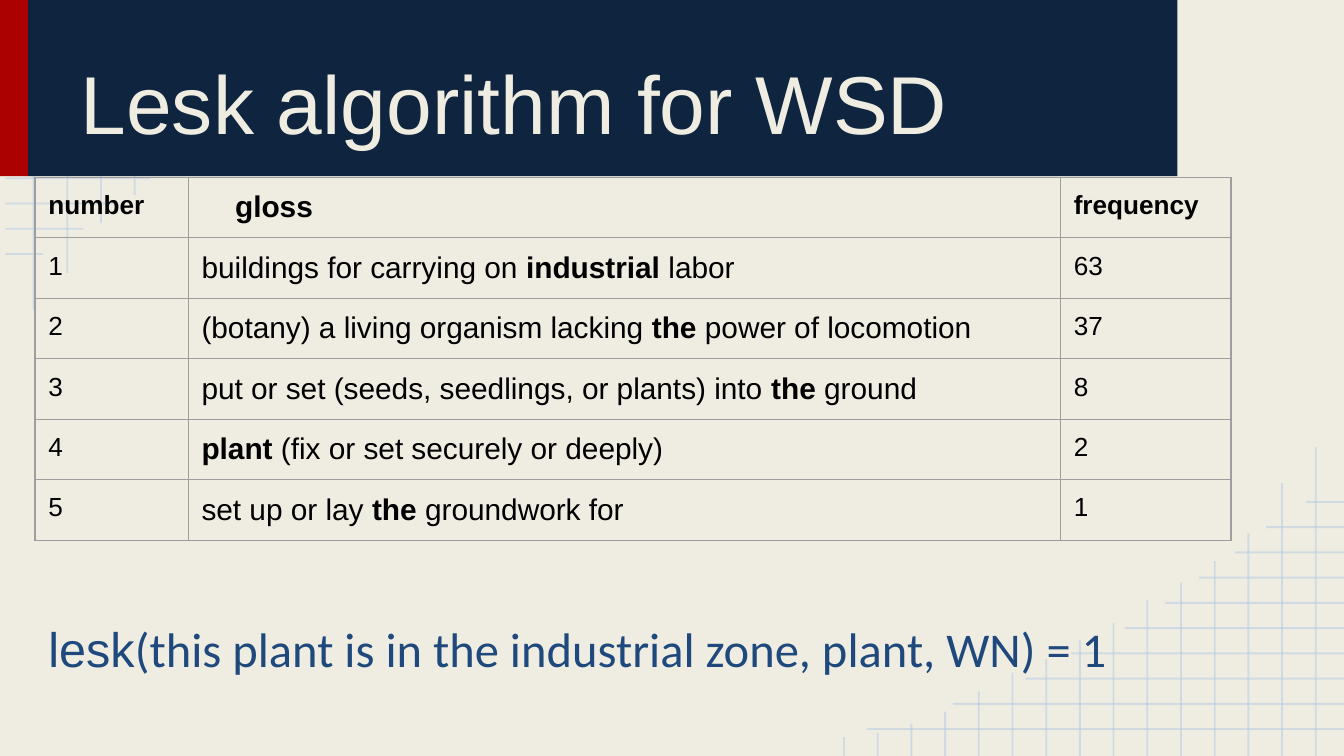
from lxml.etree import SubElement
from pptx import Presentation
from pptx.dml.color import RGBColor
from pptx.enum.shapes import MSO_CONNECTOR as Link, MSO_SHAPE as Shape
from pptx.enum.text import MSO_ANCHOR as Anchor, MSO_AUTO_SIZE as Fit, PP_ALIGN as Align
from pptx.oxml.ns import qn
from pptx.util import Inches, Pt

CREAM = RGBColor(0xEF, 0xED, 0xE2)
NAVY = RGBColor(0x0F, 0x24, 0x3E)
RED = RGBColor(0xAB, 0x01, 0x01)
BLUE = RGBColor(0x1F, 0x49, 0x7D)
PALE = RGBColor(0xB7, 0xCC, 0xE4)
BLACK = RGBColor(0, 0, 0)
GREY = "9E9E9E"

TITLE = "Lesk algorithm for WSD"
CALL = [("lesk", "Arial"),
        ("(this plant is in the industrial zone, plant, WN) = 1", "Calibri")]
ROWS = [
    ("*number*", "*gloss*", "*frequency*"),
    ("1", "buildings for carrying on *industrial* labor", "63"),
    ("2", "(botany) a living organism lacking *the* power of locomotion", "37"),
    ("3", "put or set (seeds, seedlings, or plants) into *the* ground", "8"),
    ("4", "*plant* (fix or set securely or deeply)", "2"),
    ("5", "set up or lay *the* groundwork for", "1"),
]
COLS = [(1.14, 14), (6.49, 16), (1.27, 14)]
BARS = [(0, 0.21, RED), (0.21, 8.55, NAVY)]
WIDE = 10
HIGH = WIDE * 9 / 16
ENDS = [3.59, 2.95, 2.41, 2.07, 1.67, 1.37, 1.12, 0.85, 0.62, 0.32]
DROPS = [2.3, 2.03, 1.66, 1.45, 1.29, 1.16, 0.99, 0.86, 0.72, 0.62,
         0.48, 0.33, 0.24, 0.17, 0.14]


def add_line(shapes, x1, y1, x2, y2):
    line = shapes.add_connector(Link.STRAIGHT, *map(Inches, (x1, y1, x2, y2)))
    line.line.color.rgb = PALE
    line.line.width = Pt(1)
    props = line._element.spPr
    SubElement(next(props.iter(qn("a:srgbClr"))), qn("a:alpha"), val="54000")
    SubElement(props, qn("a:effectLst"))


def add_grids(shapes):
    step_x, step_y = 3.51 / 14, 1.69 / 9
    lines = [(0.04, 0.2 + step_y * i, end, 0.2 + step_y * i)
             for i, end in enumerate(ENDS)]
    lines += [(0.25 + step_x * i, drop, 0.25 + step_x * i, 0)
              for i, drop in enumerate(DROPS)]
    for x1, y1, x2, y2 in lines:
        add_line(shapes, x1, y1, x2, y2)
        add_line(shapes, WIDE + 0.04 - x1, HIGH - y1, WIDE + 0.04 - x2, HIGH - y2)


def add_bars(shapes):
    for left, width, color in BARS:
        bar = shapes.add_shape(Shape.RECTANGLE, Inches(left), Inches(-0.01),
                               Inches(width), Inches(1.32))
        bar.shadow.inherit = False
        bar.fill.solid()
        bar.fill.fore_color.rgb = color
        bar.line.fill.background()


def set_holder(holder, box, anchor):
    holder.left, holder.top, holder.width, holder.height = map(Inches, box)
    frame = holder.text_frame
    frame.auto_size = Fit.NONE
    frame.word_wrap = True
    frame.vertical_anchor = anchor
    frame.margin_left = frame.margin_right = Inches(0.1)
    frame.margin_top = frame.margin_bottom = Inches(0.1)
    para = frame.paragraphs[0]
    para.alignment = Align.LEFT
    para.space_before = Pt(0)
    return para


def add_texts(slide):
    title, body = slide.shapes.title, slide.placeholders[1]
    for holder in (title, body):
        slide.shapes._spTree.append(holder._element)

    para = set_holder(title, (0.5, 0.11, 8, 1.11), Anchor.BOTTOM)
    para.text = TITLE
    para.font.name, para.font.size = "Arial", Pt(44)
    para.font.color.rgb = CREAM

    para = set_holder(body, (0.26, 4.29, 9.77, 1.34), Anchor.TOP)
    para.line_spacing = 1.5
    props = para._p.get_or_add_pPr()
    props.set("marL", "0")
    props.set("indent", "0")
    SubElement(props, qn("a:buNone"))
    para.font.size = Pt(26)
    para.font.color.rgb = BLUE
    for text, face in CALL:
        run = para.add_run()
        run.text, run.font.name = text, face


def set_cell(cell, text, size):
    cell.fill.background()
    cell.margin_left = cell.margin_right = Inches(0.1)
    cell.margin_top = cell.margin_bottom = Inches(0.1)
    para = cell.text_frame.paragraphs[0]
    para.font.name, para.font.size = "Arial", Pt(size)
    para.font.color.rgb = BLACK
    for i, part in enumerate(text.split("*")):
        if part:
            run = para.add_run()
            run.text, run.font.bold = part, i % 2 == 1
    props = cell._tc.get_or_add_tcPr()
    for i, side in enumerate(("lnL", "lnR", "lnT", "lnB")):
        edge = props.makeelement(qn("a:" + side), {"w": str(Pt(0.75))})
        fill = SubElement(edge, qn("a:solidFill"))
        SubElement(fill, qn("a:srgbClr"), val=GREY)
        props.insert(i, edge)


def add_glosses(shapes):
    table = shapes.add_table(len(ROWS), len(COLS), Inches(0.26), Inches(1.32),
                             Inches(8.9), Inches(0.45 * len(ROWS))).table
    table.first_row = table.horz_banding = False
    for col, (width, size) in enumerate(COLS):
        table.columns[col].width = Inches(width)
        for row, texts in enumerate(ROWS):
            set_cell(table.cell(row, col), texts[col], size)
    head = table.cell(0, 1).text_frame.paragraphs[0]
    head._p.get_or_add_pPr().set("marL", str(Inches(0.25)))


def main():
    deck = Presentation()
    deck.slide_width, deck.slide_height = Inches(WIDE), Inches(HIGH)
    slide = deck.slides.add_slide(deck.slide_layouts[1])
    slide.background.fill.solid()
    slide.background.fill.fore_color.rgb = CREAM
    add_grids(slide.shapes)
    add_bars(slide.shapes)
    add_texts(slide)
    add_glosses(slide.shapes)
    deck.save("out.pptx")


if __name__ == "__main__":
    main()
